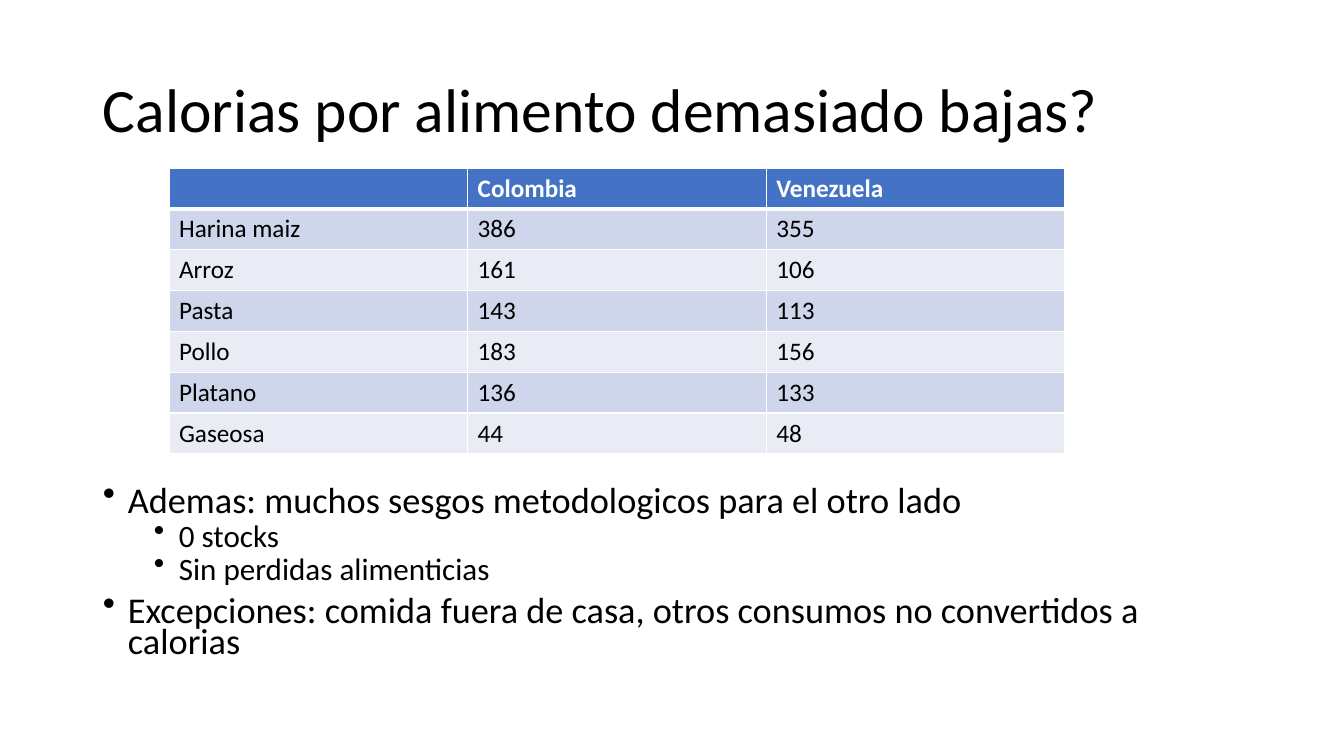
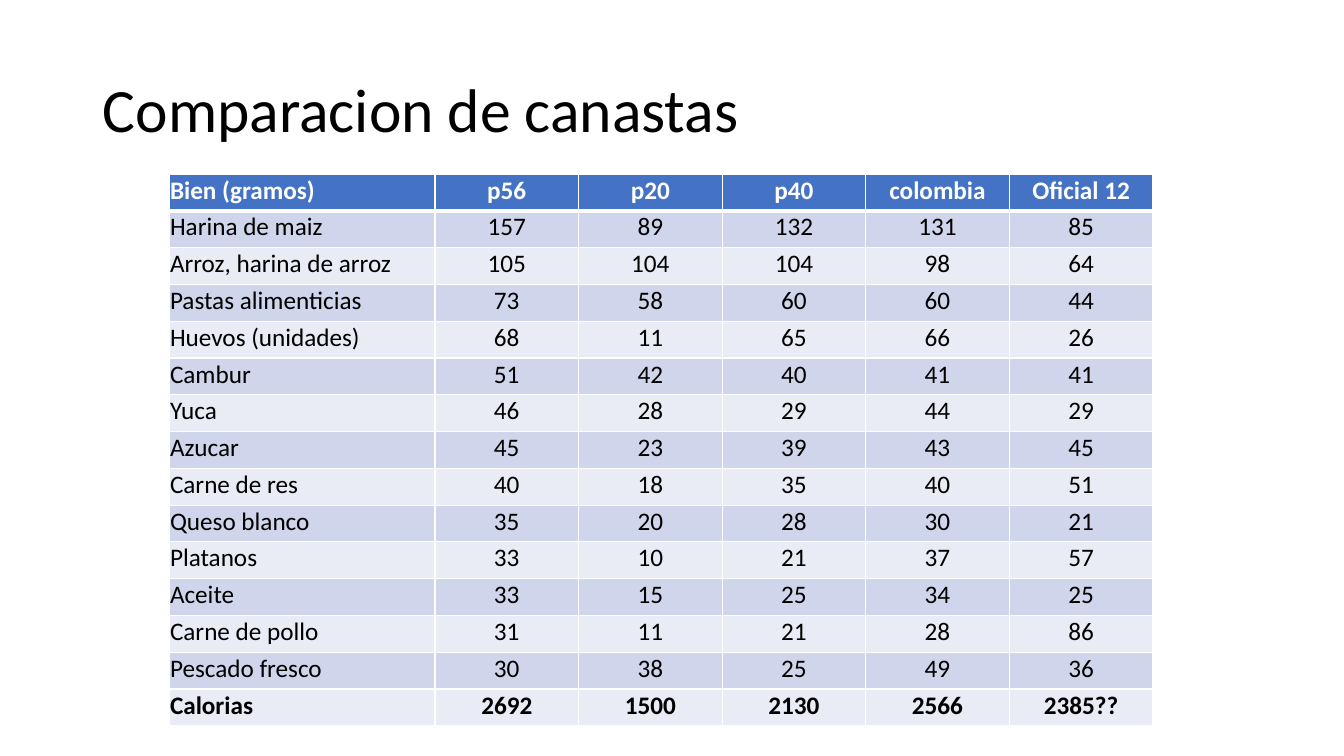
import pptx
import pptx.dml.color
import pptx.enum.text
import pptx.oxml
import pptx.oxml.ns
import pptx.util

FOOD_TITLE = "Calorias por alimento demasiado bajas?"
FOOD_CALORIES = [
    ("", "Colombia", "Venezuela"),
    ("Harina maiz", "386", "355"),
    ("Arroz", "161", "106"),
    ("Pasta", "143", "113"),
    ("Pollo", "183", "156"),
    ("Platano", "136", "133"),
    ("Gaseosa", "44", "48"),
]
REMARKS = [
    (0, "Ademas: muchos sesgos metodologicos para el otro lado"),
    (1, "0 stocks"),
    (1, "Sin perdidas alimenticias"),
    (0, "Excepciones: comida fuera de casa, otros consumos no convertidos a calorias"),
]
BASKET_TITLE = "Comparacion de canastas"
BASKETS = [
    ("Bien (gramos)", "p56", "p20", "p40", "colombia", "Oficial 12"),
    ("Harina de maiz", "157", "89", "132", "131", "85"),
    ("Arroz, harina de arroz", "105", "104", "104", "98", "64"),
    ("Pastas alimenticias", "73", "58", "60", "60", "44"),
    ("Huevos (unidades)", "68", "11", "65", "66", "26"),
    ("Cambur", "51", "42", "40", "41", "41"),
    ("Yuca", "46", "28", "29", "44", "29"),
    ("Azucar", "45", "23", "39", "43", "45"),
    ("Carne de res", "40", "18", "35", "40", "51"),
    ("Queso blanco", "35", "20", "28", "30", "21"),
    ("Platanos", "33", "10", "21", "37", "57"),
    ("Aceite", "33", "15", "25", "34", "25"),
    ("Carne de pollo", "31", "11", "21", "28", "86"),
    ("Pescado fresco", "30", "38", "25", "49", "36"),
    ("Calorias", "2692", "1500", "2130", "2566", "2385??"),
]

FONT = "Calibri"
BLACK, WHITE, HEADER = "000000", "FFFFFF", "4472C4"
BANDS = ("E9EBF5", "CFD5EA")
LEVELS = [
    {"size": 25.9, "before": 10, "indent": 25},
    {"size": 22.2, "before": 5, "indent": 76},
]
HANGING = 25
ALIGN = pptx.enum.text.PP_ALIGN
ANCHOR = pptx.enum.text.MSO_ANCHOR


def px(length):
    return round(length * 914400 / 100.8)


def rgb(color):
    return pptx.dml.color.RGBColor.from_string(color)


def style(paragraph, size, color=BLACK, bold=False):
    font = paragraph.font
    font.name, font.size, font.bold = FONT, pptx.util.Pt(size), bold
    font.color.rgb = rgb(color)


def add_text(slide, left, top, width, height):
    frame = slide.shapes.add_textbox(px(left), px(top), px(width), px(height)).text_frame
    frame.word_wrap = True
    return frame


def add_titled_slide(title):
    slide = deck.slides.add_slide(deck.slide_layouts[6])
    frame = add_text(slide, 93, 40, 1159, 146)
    frame.vertical_anchor = ANCHOR.MIDDLE
    heading = frame.paragraphs[0]
    heading.text = title
    heading.line_spacing = 0.9
    style(heading, 44)
    return slide


def add_borders(cell, is_header):
    edges = {"L": 1, "R": 1, "T": 1, "B": 3} if is_header else {"L": 1, "R": 1, "B": 1}
    for edge, points in edges.items():
        cell._tc.get_or_add_tcPr().append(pptx.oxml.parse_xml(
            f'<a:ln{edge} {pptx.oxml.ns.nsdecls("a")} w="{pptx.util.Pt(points)}">'
            f'<a:solidFill><a:srgbClr val="{WHITE}"/></a:solidFill></a:ln{edge}>'))


def add_grid(slide, rows, top, height, widths, compact=False):
    table = slide.shapes.add_table(
        len(rows), len(widths), px(169), px(top), px(sum(widths)), px(height)).table
    for column, width in zip(table.columns, widths):
        column.width = px(width)
    for r, values in enumerate(rows):
        table.rows[r].height = px(height / len(rows))
        is_header = r == 0
        is_total = compact and r == len(rows) - 1
        for c, value in enumerate(values):
            cell = table.cell(r, c)
            cell.text = value
            paragraph = cell.text_frame.paragraphs[0]
            style(paragraph, 18, WHITE if is_header else BLACK, is_header or is_total)
            if compact:
                cell.margin_left = cell.margin_right = cell.margin_top = px(1)
                cell.margin_bottom = px(5)
                cell.vertical_anchor = ANCHOR.BOTTOM
                paragraph.alignment = ALIGN.CENTER if c else ALIGN.LEFT
            add_borders(cell, is_header)
            cell.fill.solid()
            cell.fill.fore_color.rgb = rgb(HEADER if is_header else BANDS[r % 2])


def add_remarks(slide, remarks):
    frame = add_text(slide, 93, 484, 1159, 197)
    for i, (level, remark) in enumerate(remarks):
        paragraph = frame.add_paragraph() if i else frame.paragraphs[0]
        look = LEVELS[level]
        paragraph.text = remark
        paragraph.level = level
        paragraph.line_spacing = 0.7
        paragraph.space_before = pptx.util.Pt(look["before"] if i else 0)
        style(paragraph, look["size"])
        properties = paragraph._p.get_or_add_pPr()
        properties.set("marL", str(px(look["indent"])))
        properties.set("indent", str(-px(HANGING)))
        bullet = pptx.oxml.parse_xml(f'<a:buChar {pptx.oxml.ns.nsdecls("a")} char="•"/>')
        properties.find(pptx.oxml.ns.qn("a:defRPr")).addprevious(bullet)


deck = pptx.Presentation()
deck.slide_width, deck.slide_height = px(1344), px(756)

food_slide = add_titled_slide(FOOD_TITLE)
add_remarks(food_slide, REMARKS)
add_grid(food_slide, FOOD_CALORIES, 168, 286, [896 / 3] * 3)

basket_slide = add_titled_slide(BASKET_TITLE)
add_grid(basket_slide, BASKETS, 174, 552, [266] + [143.6] * 5, compact=True)

deck.save("out.pptx")
